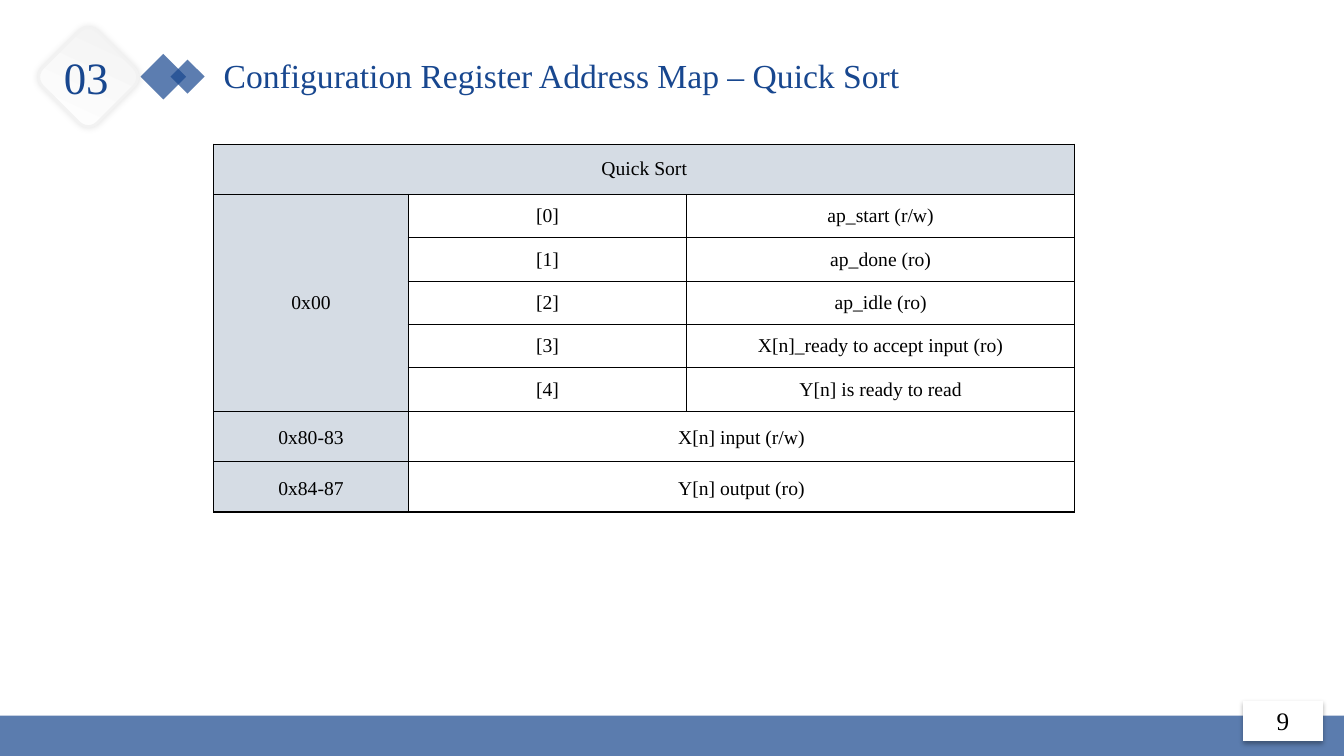
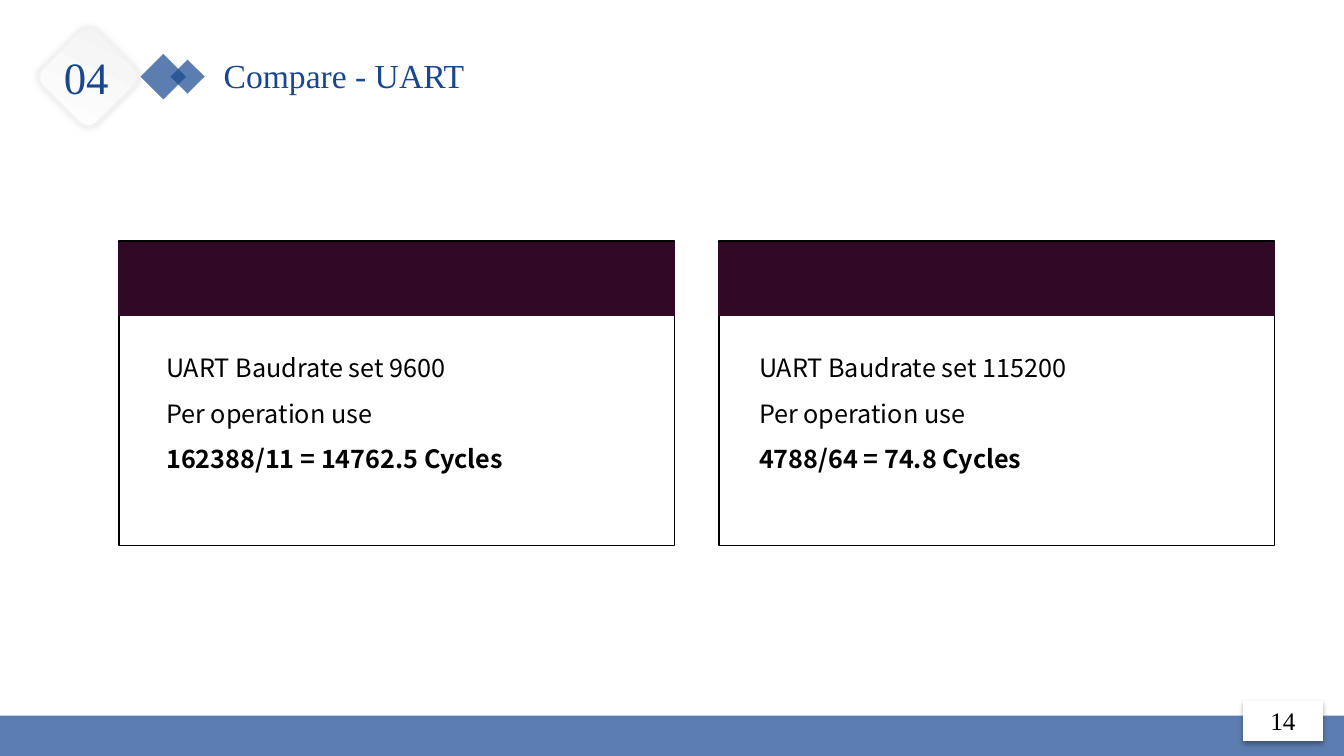
from dataclasses import dataclass

from lxml import etree
from pptx import Presentation
from pptx.dml.color import RGBColor
from pptx.enum.shapes import MSO_SHAPE
from pptx.enum.text import MSO_ANCHOR, MSO_AUTO_SIZE, PP_ALIGN
from pptx.oxml.ns import qn
from pptx.shapes.autoshape import Shape
from pptx.slide import Slide
from pptx.table import _Cell
from pptx.text.text import TextFrame
from pptx.util import Inches, Length, Pt

RECTANGLE = MSO_SHAPE.RECTANGLE
ROUNDED = MSO_SHAPE.ROUNDED_RECTANGLE
LEFT, CENTER = PP_ALIGN.LEFT, PP_ALIGN.CENTER
MIDDLE = MSO_ANCHOR.MIDDLE
GROW = MSO_AUTO_SIZE.SHAPE_TO_FIT_TEXT

NAVY = RGBColor(0x18, 0x47, 0x8F)
BAND_BLUE = RGBColor(0x5B, 0x7C, 0xAE)
PALE_BLUE = RGBColor(0xD5, 0xDC, 0xE4)
PALE_GRAY = RGBColor(0xF2, 0xF2, 0xF2)
PLUM = RGBColor(0x30, 0x09, 0x24)
PLUM_EDGE = RGBColor(0x30, 0x09, 0x26)
BLACK = RGBColor(0, 0, 0)
WHITE = RGBColor(255, 255, 255)

SERIF = "Times New Roman"
SANS = "Noto Sans CJK SC"


@dataclass(frozen=True)
class Box:
    left: float
    top: float
    width: float
    height: float

    def lengths(self) -> tuple[Length, ...]:
        return tuple(Inches(v) for v in (self.left, self.top, self.width, self.height))


@dataclass(frozen=True)
class TextStyle:
    size: int
    color: RGBColor = BLACK
    font: str = SERIF
    align: PP_ALIGN = LEFT
    spacing: float | Length | None = None


@dataclass(frozen=True)
class TableEntry:
    row: int
    column: int
    text: str
    row_span: int = 1
    column_span: int = 1


@dataclass(frozen=True)
class Card:
    left: float
    text_left: float
    lines: tuple[str, ...]


TITLE = TextStyle(24, NAVY)
SECTION = TextStyle(32, NAVY, align=CENTER)
PAGE_NUMBER = TextStyle(18, align=CENTER)
TABLE_TEXT = TextStyle(14, align=CENTER)
TABLE_TEXT_TALL = TextStyle(14, align=CENTER, spacing=Pt(18))
CARD_TEXT = TextStyle(18, font=SANS, spacing=1.5)

DIAMONDS = (Box(1.46, 0.6, 0.32, 0.32), Box(1.74, 0.64, 0.24, 0.24))

COLUMN_WIDTHS = (1.93, 2.76, 3.85)
ROW_HEIGHTS = (0.5,) + (0.43,) * 5 + (0.5,) * 2
STATUS_BITS = (
    "ap_start (r/w)",
    "ap_done (ro)",
    "ap_idle (ro)",
    "X[n]_ready to accept input (ro)",
    "Y[n] is ready to read",
)
DATA_REGISTERS = (("0x80-83", "X[n] input (r/w)"), ("0x84-87", "Y[n] output (ro)"))

CARDS = (
    Card(1.18, 1.55, ("UART Baudrate set 9600", "Per operation use",
                      "162388/11 = 14762.5 Cycles")),
    Card(7.13, 7.43, ("UART Baudrate set 115200", "Per operation use",
                      "4788/64 = 74.8 Cycles")),
)


def write(frame: TextFrame, text: str, style: TextStyle) -> None:
    frame.text = text
    for para in frame.paragraphs:
        para.alignment = style.align
        if style.spacing is not None:
            para.line_spacing = style.spacing
        for span in para.runs:
            span.font.size = Pt(style.size)
            span.font.name = style.font
            span.font.color.rgb = style.color
            properties = span.font._element
            etree.SubElement(properties, qn("a:ea"), typeface=style.font)


def add_text(page: Slide, box: Box, text: str, style: TextStyle,
             wrap: bool = True) -> TextFrame:
    frame = page.shapes.add_textbox(*box.lengths()).text_frame
    frame.word_wrap = wrap
    frame.auto_size = GROW
    write(frame, text, style)
    return frame


def add_block(page: Slide, box: Box, fill: RGBColor, line: RGBColor | None = None,
              preset: MSO_SHAPE = RECTANGLE, rotation: int = 0,
              line_width: float = 1) -> Shape:
    shape = page.shapes.add_shape(preset, *box.lengths())
    shape.shadow.inherit = False
    shape.rotation = rotation
    shape.fill.solid()
    shape.fill.fore_color.rgb = fill
    if line is None:
        shape.line.fill.background()
    else:
        shape.line.color.rgb = line
        shape.line.width = Pt(line_width)
    return shape


def add_alpha(color: etree._Element, percent: int) -> None:
    etree.SubElement(color, qn("a:alpha"), val=str(percent * 1000))


def cast_shadow(shape: Shape, opacity: int, blur: float, distance: float,
                angle: int) -> None:
    effects = shape._element.spPr.find(qn("a:effectLst"))
    shadow = etree.SubElement(
        effects, qn("a:outerShdw"), blurRad=str(Pt(blur)), dist=str(Pt(distance)),
        dir=str(angle * 60000), algn="ctr", rotWithShape="0")
    add_alpha(etree.SubElement(shadow, qn("a:srgbClr"), val=str(BLACK)), opacity)


def add_frame(page: Slide, section: str, title: str, number: int) -> None:
    for box in DIAMONDS:
        diamond = add_block(page, box, NAVY, rotation=225)
        fill = diamond._element.spPr.find(qn("a:solidFill"))
        add_alpha(fill[0], 70)
    add_text(page, Box(2.12, 0.5, 8.77, 0.5), title, TITLE)

    badge = add_block(page, Box(0.49, 0.38, 0.77, 0.77), WHITE, PALE_GRAY,
                      ROUNDED, 45, 2)
    badge.fill.gradient()
    badge.fill.gradient_angle = 110
    for stop, color in zip(badge.fill.gradient_stops, (WHITE, PALE_GRAY)):
        stop.color.rgb = color
    cast_shadow(badge, 11, 5, 0, 0)
    add_text(page, Box(0.53, 0.44, 0.65, 0.64), section, SECTION, wrap=False)

    add_block(page, Box(0, 7.1, 13.34, 0.4), BAND_BLUE)
    tab = add_block(page, Box(12.33, 6.95, 0.79, 0.4), WHITE)
    cast_shadow(tab, 32, 3.5, 2.2, 90)
    write(tab.text_frame, str(number), PAGE_NUMBER)


def border_cell(cell: _Cell) -> None:
    properties = cell._tc.get_or_add_tcPr()
    for side in ("lnL", "lnR", "lnT", "lnB"):
        line = etree.SubElement(properties, qn(f"a:{side}"), w=str(Pt(1)))
        fill = etree.SubElement(line, qn("a:solidFill"))
        etree.SubElement(fill, qn("a:srgbClr"), val=str(BLACK))


def register_entries() -> list[TableEntry]:
    entries = [TableEntry(0, 0, "Quick Sort", column_span=3),
               TableEntry(1, 0, "0x00", row_span=len(STATUS_BITS))]
    for bit, meaning in enumerate(STATUS_BITS):
        entries += [TableEntry(bit + 1, 1, f"[{bit}]"),
                    TableEntry(bit + 1, 2, meaning)]
    for row, (address, meaning) in enumerate(DATA_REGISTERS, len(STATUS_BITS) + 1):
        entries += [TableEntry(row, 0, address),
                    TableEntry(row, 1, meaning, column_span=2)]
    return entries


def add_register_table(page: Slide) -> None:
    box = Box(2.12, 1.43, sum(COLUMN_WIDTHS), sum(ROW_HEIGHTS))
    table = page.shapes.add_table(
        len(ROW_HEIGHTS), len(COLUMN_WIDTHS), *box.lengths()).table
    table.first_row = table.horz_banding = False
    for column, width in zip(table.columns, COLUMN_WIDTHS):
        column.width = Inches(width)
    for row_index, (row, height) in enumerate(zip(table.rows, ROW_HEIGHTS)):
        row.height = Inches(height)
        for column_index, cell in enumerate(row.cells):
            border_cell(cell)
            shaded = row_index == 0 or column_index == 0
            cell.fill.solid()
            cell.fill.fore_color.rgb = PALE_BLUE if shaded else WHITE
            cell.vertical_anchor = MIDDLE
            cell.margin_left = cell.margin_right = Inches(0.07)
            cell.margin_top = cell.margin_bottom = 0
    for entry in register_entries():
        cell = table.cell(entry.row, entry.column)
        if entry.row_span > 1 or entry.column_span > 1:
            cell.merge(table.cell(entry.row + entry.row_span - 1,
                                  entry.column + entry.column_span - 1))
        tall = entry.row > len(STATUS_BITS)
        write(cell.text_frame, entry.text, TABLE_TEXT_TALL if tall else TABLE_TEXT)


def add_card(page: Slide, card: Card) -> None:
    add_block(page, Box(card.left, 2.39, 5.51, 3.02), WHITE, BLACK)
    add_block(page, Box(card.left, 2.41, 5.51, 0.72), PLUM, PLUM_EDGE)
    frame = add_text(page, Box(card.text_left, 3.3, 4.72, 1.41),
                     "\n".join(card.lines), CARD_TEXT)
    frame.paragraphs[-1].runs[0].font.bold = True


def main() -> None:
    deck = Presentation()
    deck.slide_width, deck.slide_height = Inches(13.33), Inches(7.5)
    blank = deck.slide_layouts[6]

    register_page = deck.slides.add_slide(blank)
    add_frame(register_page, "03",
              "Configuration Register Address Map – Quick Sort", 9)
    add_register_table(register_page)

    compare_page = deck.slides.add_slide(blank)
    add_frame(compare_page, "04", "Compare - UART", 14)
    for card in CARDS:
        add_card(compare_page, card)

    deck.save("out.pptx")


if __name__ == "__main__":
    main()
